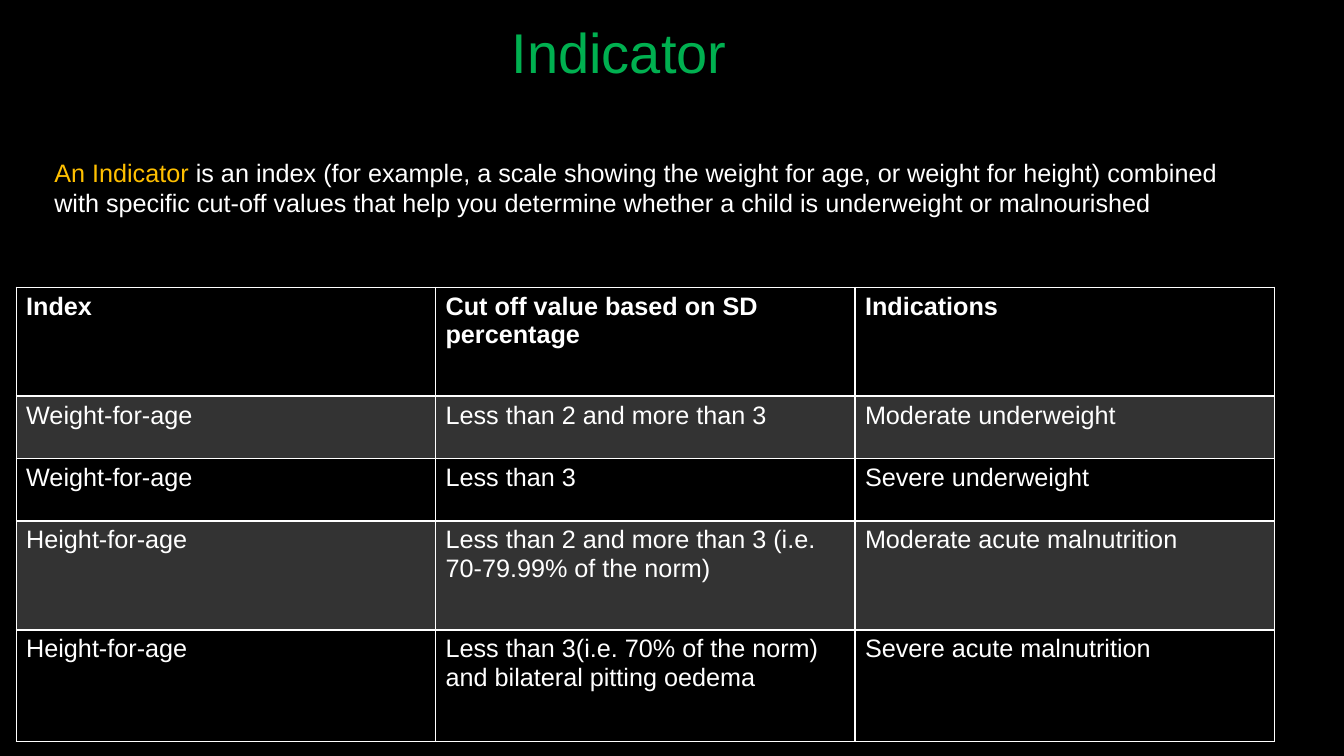
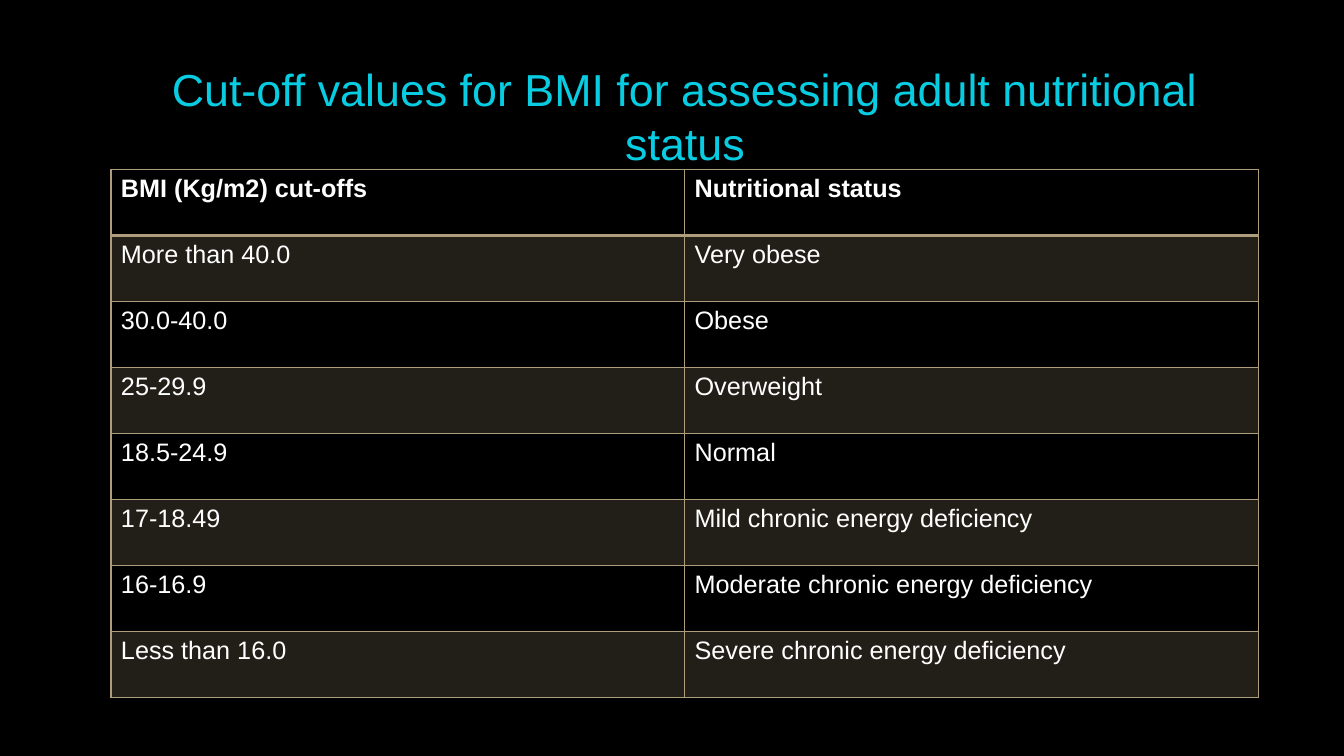
import pptx
import pptx.dml.color
import pptx.enum.text
import pptx.oxml.ns
import pptx.util
from lxml import etree

Inches = pptx.util.Inches
Pt = pptx.util.Pt
qn = pptx.oxml.ns.qn

FONT = "Arial"
BLACK, WHITE, GOLD = "000000", "FFFFFF", "FFC000"
GREEN, CYAN, SAND = "00B050", "08CDE2", "AD9D7B"
PLAIN_GRID_STYLE = "{2D5ABB26-0587-4C30-8999-92F81FD0307C}"
BAND_ALPHA = "20000"


def rgb(value):
    return pptx.dml.color.RGBColor.from_string(value)


def style_font(font, size, color, bold=False):
    font.name = FONT
    font.size = Pt(size)
    font.bold = bold
    font.color.rgb = rgb(color)


# Content: title, optional definition and table of each slide
pages = [
    dict(
        title="Indicator", title_color=GREEN, title_size=40,
        title_box=(2.35, 0.12, 7.58, 0.77),
        definition=(
            "An Indicator",
            " is an index (for example, a scale showing the weight for age, "
            "or weight for height) combined with specific cut-off values that "
            "help you determine whether a child is underweight or malnourished",
        ),
        grid_color=WHITE, grid_at=(0.16, 2.85), column_width=4.16,
        row_heights=[1.08, 0.62, 0.62, 1.08, 1.11],
        rows=[
            ("Index", "Cut off value based on SD percentage", "Indications"),
            ("Weight-for-age", "Less than 2 and more than 3", "Moderate underweight"),
            ("Weight-for-age", "Less than 3", "Severe underweight"),
            ("Height-for-age",
             "Less than 2 and more than 3 (i.e. 70-79.99% of the norm)",
             "Moderate acute malnutrition"),
            ("Height-for-age",
             "Less than 3(i.e. 70% of the norm) and bilateral pitting oedema",
             "Severe acute malnutrition"),
        ],
    ),
    dict(
        title="Cut-off values for BMI for assessing adult nutritional status",
        title_color=CYAN, title_size=32,
        title_box=(0.96, 0.56, 11.67, 1.12),
        definition=None,
        grid_color=SAND, grid_at=(1.1, 1.68), column_width=5.69,
        row_heights=[0.655] * 8,
        rows=[
            ("BMI (Kg/m2) cut-offs", "Nutritional status"),
            ("More than 40.0", "Very obese"),
            ("30.0-40.0", "Obese"),
            ("25-29.9", "Overweight"),
            ("18.5-24.9", "Normal"),
            ("17-18.49", "Mild chronic energy deficiency"),
            ("16-16.9", "Moderate chronic energy deficiency"),
            ("Less than 16.0", "Severe chronic energy deficiency"),
        ],
    ),
]

# Presentation with a black background on every slide
prs = pptx.Presentation()
prs.slide_width, prs.slide_height = Inches(13.33), Inches(7.5)
master_fill = prs.slide_master.background.fill
master_fill.solid()
master_fill.fore_color.rgb = rgb(BLACK)
title_only = prs.slide_layouts[5]

for page in pages:
    slide = prs.slides.add_slide(title_only)

    # Title
    title = slide.shapes.title
    title.left, title.top, title.width, title.height = map(Inches, page["title_box"])
    title_frame = title.text_frame
    title_frame.text = page["title"]
    title_frame.word_wrap = True
    title_frame.auto_size = pptx.enum.text.MSO_AUTO_SIZE.NONE
    title_frame.vertical_anchor = pptx.enum.text.MSO_ANCHOR.TOP
    title_line = title_frame.paragraphs[0]
    title_line.alignment = pptx.enum.text.PP_ALIGN.CENTER
    style_font(title_line.font, page["title_size"], page["title_color"])

    # Definition with its term highlighted
    if page["definition"]:
        definition = slide.shapes.add_textbox(
            Inches(0.44), Inches(1.51), Inches(12.21), Inches(0.7)).text_frame
        definition.word_wrap = True
        for text, color in zip(page["definition"], (GOLD, WHITE)):
            run = definition.paragraphs[0].add_run()
            run.text = text
            style_font(run.font, 18, color)

    # Table
    rows, heights = page["rows"], page["row_heights"]
    columns = len(rows[0])
    left, top = page["grid_at"]
    grid = slide.shapes.add_table(
        len(rows), columns, Inches(left), Inches(top),
        Inches(columns * page["column_width"]), Inches(sum(heights))).table
    grid._tbl.tblPr.find(qn("a:tableStyleId")).text = PLAIN_GRID_STYLE
    for column in grid.columns:
        column.width = Inches(page["column_width"])

    for r, texts in enumerate(rows):
        grid.rows[r].height = Inches(heights[r])
        for c, text in enumerate(texts):
            cell = grid.cell(r, c)
            cell.text = text
            style_font(cell.text_frame.paragraphs[0].font, 18, WHITE, bold=r == 0)

            # Borders, heavier under the header row
            cell_props = cell._tc.get_or_add_tcPr()
            for side in ("lnL", "lnR", "lnT", "lnB"):
                heavy = (r, side) in ((0, "lnB"), (1, "lnT"))
                border = etree.SubElement(
                    cell_props, qn("a:" + side), w=str(Pt(2 if heavy else 1)))
                border_fill = etree.SubElement(border, qn("a:solidFill"))
                etree.SubElement(border_fill, qn("a:srgbClr"), val=page["grid_color"])

            # Translucent band on every other row
            if r % 2:
                cell.fill.solid()
                cell.fill.fore_color.rgb = rgb(page["grid_color"])
                band_color = cell_props.find(qn("a:solidFill") + "/" + qn("a:srgbClr"))
                etree.SubElement(band_color, qn("a:alpha"), val=BAND_ALPHA)
            else:
                cell.fill.background()

prs.save("out.pptx")
